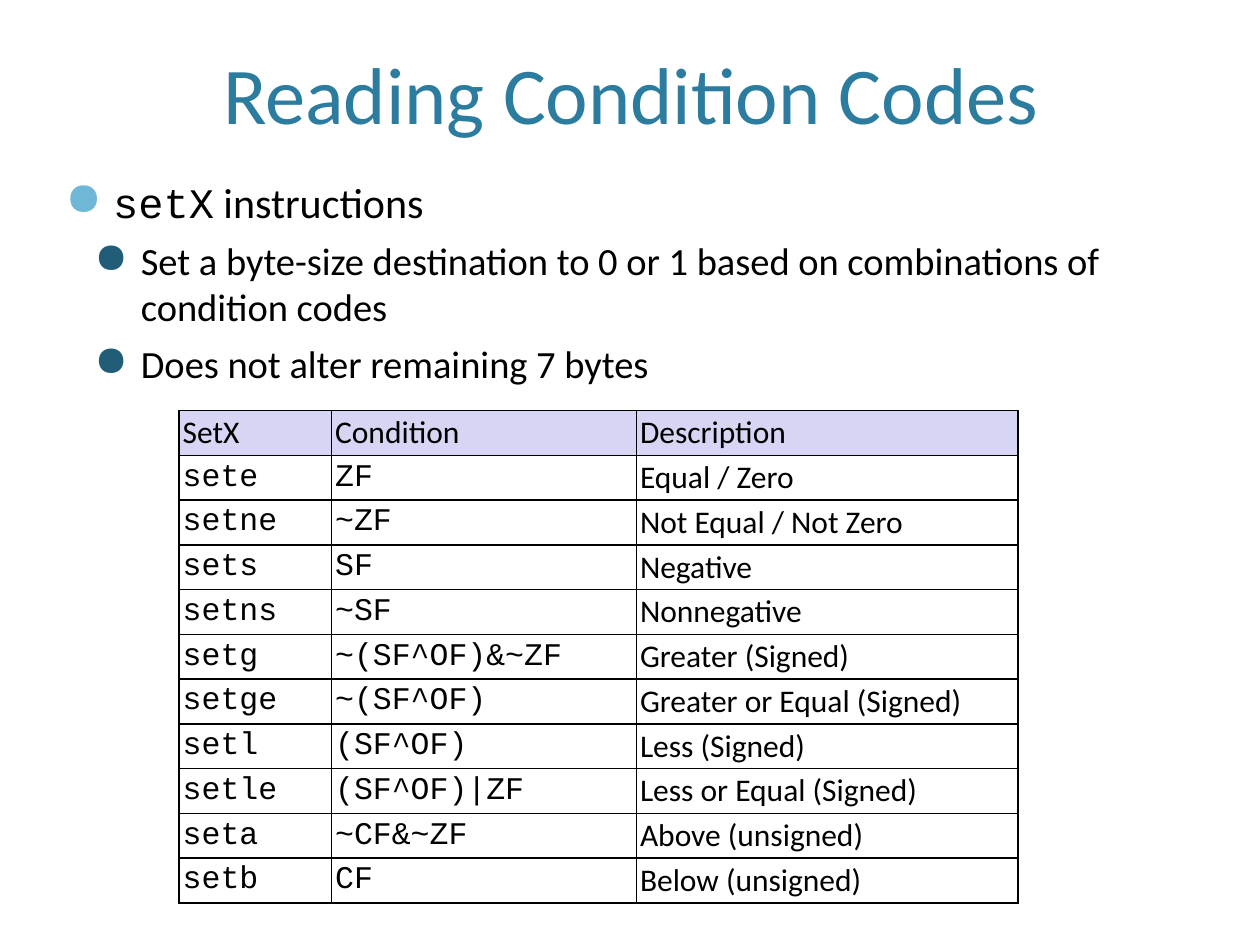
from lxml.etree import SubElement
from pptx import Presentation
from pptx.dml.color import RGBColor
from pptx.enum.text import MSO_ANCHOR, MSO_AUTO_SIZE, PP_ALIGN
from pptx.oxml.ns import qn
from pptx.util import Inches, Pt

COLORS = {"title": "2C7C9F", "text": "000000", "bullet": "6FB7D7",
          "sub_bullet": "215D77", "header": "D6D6F4", "border": "000000"}
SANS, MONO = "Calibri", "Courier New"

CONDITIONS = [
    ("SetX", "Condition", "Description"),
    ("sete", "ZF", "Equal / Zero"),
    ("setne", "~ZF", "Not Equal / Not Zero"),
    ("sets", "SF", "Negative"),
    ("setns", "~SF", "Nonnegative"),
    ("setg", "~(SF^OF)&~ZF", "Greater (Signed)"),
    ("setge", "~(SF^OF)", "Greater or Equal (Signed)"),
    ("setl", "(SF^OF)", "Less (Signed)"),
    ("setle", "(SF^OF)|ZF", "Less or Equal (Signed)"),
    ("seta", "~CF&~ZF", "Above (unsigned)"),
    ("setb", "CF", "Below (unsigned)"),
]
POINTS = [
    (0, [("setX", MONO), (" instructions", SANS)]),
    (1, [("Set a byte-size destination to 0 or 1 based on combinations of "
          "condition codes", SANS)]),
    (1, [("Does not alter remaining 7 bytes", SANS)]),
]
LEVELS = [
    {"size": 24, "before": 20, "margin": 0.38, "indent": -0.38, "color": "bullet"},
    {"size": 22, "before": 6, "margin": 0.6, "indent": -0.37, "color": "sub_bullet"},
]


class SlideBuilder:
    """Holds the style and the current slide, and adds each kind of element."""

    def __init__(self, slide):
        self.slide = slide

    def style(self, paragraph, size, color, name=None):
        font = paragraph.font
        font.size = Pt(size)
        font.color.rgb = RGBColor.from_string(COLORS[color])
        if name:
            font.name = name

    def frame(self, shape):
        frame = shape.text_frame
        frame.word_wrap = True
        frame.auto_size = MSO_AUTO_SIZE.NONE
        frame.vertical_anchor = MSO_ANCHOR.TOP
        frame.margin_left = frame.margin_right = Inches(0.1)
        frame.margin_top = frame.margin_bottom = Inches(0.07)
        return frame

    def title(self, text, left, top, width, height):
        heading = self.slide.shapes.title
        heading.left, heading.top = Inches(left), Inches(top)
        heading.width, heading.height = Inches(width), Inches(height)
        paragraph = self.frame(heading).paragraphs[0]
        paragraph.text = text
        paragraph.alignment = PP_ALIGN.CENTER
        self.style(paragraph, 46, "title", SANS)

    def bullet(self, paragraph, level):
        properties = paragraph._p.get_or_add_pPr()
        properties.set("marL", str(Inches(level["margin"])))
        properties.set("indent", str(Inches(level["indent"])))
        color = SubElement(properties, qn("a:buClr"))
        SubElement(color, qn("a:srgbClr"), val=COLORS[level["color"]])
        SubElement(properties, qn("a:buSzPct"), val="110000")
        SubElement(properties, qn("a:buChar"), char="●")

    def bullets(self, points, left, top, width, height):
        body = self.slide.shapes.add_textbox(
            Inches(left), Inches(top), Inches(width), Inches(height))
        frame = self.frame(body)
        for index, (depth, pieces) in enumerate(points):
            paragraph = frame.add_paragraph() if index else frame.paragraphs[0]
            level = LEVELS[depth]
            paragraph.level = depth
            paragraph.space_before = Pt(level["before"])
            self.bullet(paragraph, level)
            names = {name for _, name in pieces}
            self.style(paragraph, level["size"], "text",
                       names.pop() if len(names) == 1 else None)
            for text, name in pieces:
                run = paragraph.add_run()
                run.text = text
                if names:
                    run.font.name = name

    def borders(self, cell):
        properties = cell._tc.get_or_add_tcPr()
        for position, side in enumerate(("lnL", "lnR", "lnT", "lnB")):
            line = properties.makeelement(qn(f"a:{side}"), {"w": str(Pt(1))})
            properties.insert(position, line)
            fill = SubElement(line, qn("a:solidFill"))
            SubElement(fill, qn("a:srgbClr"), val=COLORS["border"])

    def cell(self, cell, text, name, is_header):
        cell.margin_left = cell.margin_right = Inches(0.03)
        cell.margin_top = cell.margin_bottom = Pt(1.8)
        cell.vertical_anchor = MSO_ANCHOR.MIDDLE
        if is_header:
            cell.fill.solid()
            cell.fill.fore_color.rgb = RGBColor.from_string(COLORS["header"])
        else:
            cell.fill.background()
        self.borders(cell)
        paragraph = cell.text_frame.paragraphs[0]
        paragraph.text = text
        self.style(paragraph, 18, "text", name)

    def table(self, rows, widths, left, top, height):
        table = self.slide.shapes.add_table(
            len(rows), len(widths), Inches(left), Inches(top),
            Inches(sum(widths)), Inches(height)).table
        table.first_row = table.horz_banding = False
        for column, width in zip(table.columns, widths):
            column.width = Inches(width)
        for r, row in enumerate(rows):
            for c, text in enumerate(row):
                name = MONO if r > 0 and c < 2 else SANS
                self.cell(table.cell(r, c), text, name, r == 0)


def main():
    presentation = Presentation()
    presentation.slide_width, presentation.slide_height = Inches(10), Inches(7.5)
    builder = SlideBuilder(presentation.slides.add_slide(presentation.slide_layouts[5]))
    builder.title("Reading Condition Codes", 0.42, 0.28, 9.17, 1.25)
    builder.bullets(POINTS, 0.42, 1.33, 9.17, 5.94)
    builder.table(CONDITIONS, [1.21, 2.42, 3.03], 1.42, 3.26, 3.91)
    presentation.save("out.pptx")


if __name__ == "__main__":
    main()
